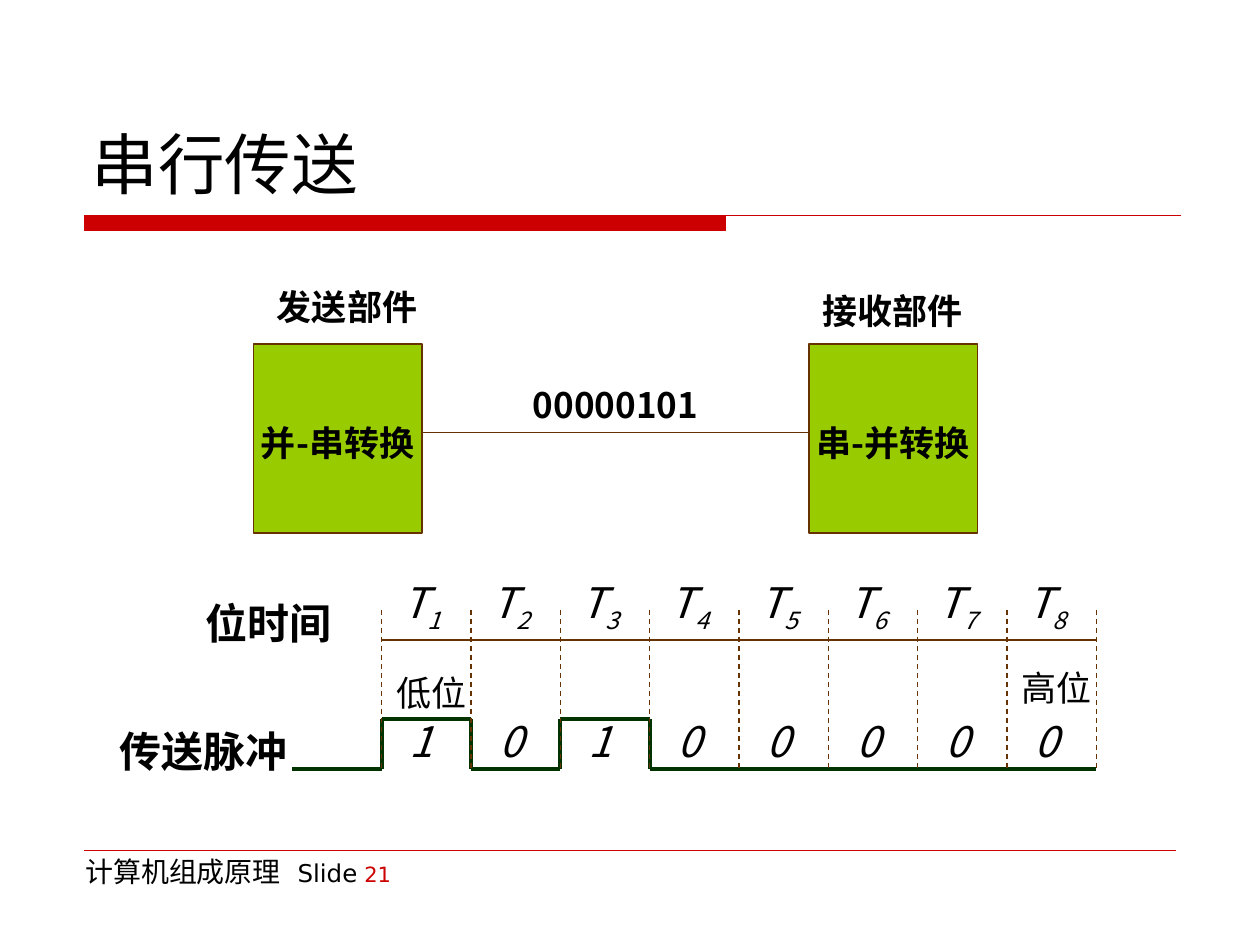
from dataclasses import dataclass
from itertools import groupby

from lxml import etree
from pptx import Presentation
from pptx.dml.color import RGBColor
from pptx.enum.dml import MSO_LINE
from pptx.enum.shapes import MSO_CONNECTOR, MSO_SHAPE
from pptx.enum.text import MSO_ANCHOR, PP_ALIGN
from pptx.oxml.ns import qn
from pptx.util import Inches, Pt

STRAIGHT = MSO_CONNECTOR.STRAIGHT
RECTANGLE = MSO_SHAPE.RECTANGLE
DASH = MSO_LINE.DASH
LEFT, CENTER = PP_ALIGN.LEFT, PP_ALIGN.CENTER
TOP, MIDDLE, BOTTOM = MSO_ANCHOR.TOP, MSO_ANCHOR.MIDDLE, MSO_ANCHOR.BOTTOM

BLACK = RGBColor(0x00, 0x00, 0x00)
RED = RGBColor(0xCC, 0x00, 0x00)
LIME = RGBColor(0x99, 0xCC, 0x00)
BROWN = RGBColor(0x66, 0x33, 0x00)
DARK_GREEN = RGBColor(0x00, 0x33, 0x00)

SANS = "DejaVu Sans"
CJK = "Noto Sans CJK SC"

BITS = "10100000"
GRID_LEFT, GRID_RIGHT = 3.03, 8.7
BIT_WIDTH = (GRID_RIGHT - GRID_LEFT) / len(BITS)
GRID_TOP, AXIS_Y = 4.84, 5.08
HIGH_Y, LOW_Y = 5.71, 6.1


@dataclass
class Run:
    text: str
    size: float
    name: str = CJK
    color: RGBColor = BLACK
    bold: bool = False
    italic: bool = False
    subscript: bool = False


@dataclass
class Label:
    left: float
    top: float
    width: float
    height: float
    runs: list[Run]
    align: PP_ALIGN = CENTER
    anchor: MSO_ANCHOR = TOP
    spacing: float = 1.0


def fill_text(frame, label: Label, wrap: bool = True) -> None:
    frame.word_wrap = wrap
    frame.vertical_anchor = label.anchor
    paragraph = frame.paragraphs[0]
    paragraph.alignment = label.align
    paragraph.line_spacing = label.spacing
    for item in label.runs:
        run = paragraph.add_run()
        run.text = item.text
        formats = {"size": Pt(item.size), "name": item.name,
                   "bold": item.bold, "italic": item.italic}
        for attribute, value in formats.items():
            setattr(run.font, attribute, value)
        run.font.color.rgb = item.color
        properties = run.font._element
        etree.SubElement(properties, qn("a:ea")).set("typeface", item.name)
        if item.subscript:
            properties.set("baseline", "-25000")


def add_label(slide, label: Label) -> None:
    box = slide.shapes.add_textbox(Inches(label.left), Inches(label.top),
                                   Inches(label.width), Inches(label.height))
    fill_text(box.text_frame, label)


def add_unit(slide, label: Label) -> None:
    """Draw a green converter box with its text."""
    shape = slide.shapes.add_shape(
        RECTANGLE, Inches(label.left), Inches(label.top),
        Inches(label.width), Inches(label.height))
    shape.shadow.inherit = False
    shape.fill.solid()
    shape.fill.fore_color.rgb = LIME
    shape.line.color.rgb = BROWN
    shape.line.width = Pt(0.75)
    fill_text(shape.text_frame, label, wrap=False)


def add_line(slide, x1: float, y1: float, x2: float, y2: float,
             color: RGBColor = BROWN, width: float = 0.75, dash=None) -> None:
    line = slide.shapes.add_connector(
        STRAIGHT, Inches(x1), Inches(y1), Inches(x2), Inches(y2))
    line.line.color.rgb = color
    line.line.width = Pt(width)
    if dash is not None:
        line.line.dash_style = dash
    etree.SubElement(line._element.spPr, qn("a:effectLst"))


def add_title_rule(slide) -> None:
    """Draw the thick red bar that continues as a thin line."""
    left, bar_right, right, top, bottom = map(Inches, (0.67, 5.76, 9.37, 1.71, 1.83))
    builder = slide.shapes.build_freeform(left, top)
    builder.add_line_segments([(bar_right, top), (bar_right, bottom), (left, bottom)])
    builder.move_to(left, top)
    builder.add_line_segments([(right, top)], close=False)
    rule = builder.convert_to_shape()
    rule.shadow.inherit = False
    rule.fill.solid()
    rule.fill.fore_color.rgb = RED
    rule.line.color.rgb = RED
    rule.line.width = Pt(0.75)


def add_pulse(slide) -> None:
    """Draw the waveform: an idle low slot, then one slot for each bit."""
    x, previous_y = GRID_LEFT - BIT_WIDTH, LOW_Y
    for level, slots in groupby("0" + BITS):
        y = HIGH_Y if level == "1" else LOW_Y
        if y != previous_y:
            add_line(slide, x, previous_y, x, y, DARK_GREEN, 2.25)
        end = x + BIT_WIDTH * len(list(slots))
        add_line(slide, x, y, end, y, DARK_GREEN, 2.25)
        x, previous_y = end, y


def add_timing(slide) -> None:
    add_pulse(slide)
    add_line(slide, GRID_LEFT, AXIS_Y, GRID_RIGHT, AXIS_Y)
    for index in range(len(BITS) + 1):
        x = GRID_LEFT + index * BIT_WIDTH
        add_line(slide, x, GRID_TOP, x, LOW_Y, dash=DASH)
    for index, bit in enumerate(BITS):
        x = GRID_LEFT + index * BIT_WIDTH
        period = [Run("T", 24, italic=True),
                  Run(str(index + 1), 24, italic=True, subscript=True)]
        add_label(slide, Label(x, 4.53, 0.63, 0.56, period))
        add_label(slide, Label(x, 5.63, 0.63, 0.5, [Run(bit, 24, italic=True)]))
    add_label(slide, Label(GRID_LEFT, 5.28, 0.79, 0.44, [Run("低位", 20)]))
    add_label(slide, Label(7.99, 5.24, 0.79, 0.44, [Run("高位", 20)]))
    add_label(slide, Label(1.38, 4.69, 1.5, 0.5, [Run("位时间", 24, bold=True)]))
    add_label(slide, Label(0.75, 5.71, 1.73, 0.5, [Run("传送脉冲", 24, bold=True)]))


def add_transfer(slide) -> None:
    """Draw sender, receiver and the serial wire between them."""
    for left, text in ((2.01, "并-串转换"), (6.42, "串-并转换")):
        add_unit(slide, Label(left, 2.73, 1.34, 1.5, [Run(text, 20, bold=True)],
                              anchor=MIDDLE, spacing=1.2))
    add_line(slide, 3.35, 3.43, 6.42, 3.43)
    captions = ((1.77, 2.15, "发送部件"), (6.1, 2.18, "接收部件"),
                (3.9, 2.93, "00000101"))
    for left, top, text in captions:
        add_label(slide, Label(left, top, 1.97, 0.5, [Run(text, 20, bold=True)],
                               spacing=1.2))


def main() -> None:
    presentation = Presentation()
    presentation.slide_width = Inches(10)
    presentation.slide_height = Inches(7.5)
    slide = presentation.slides.add_slide(presentation.slide_layouts[6])

    add_title_rule(slide)
    add_line(slide, 0.67, 6.75, 9.33, 6.75, RED, 0.25)
    footer = [Run("计算机组成原理 ", 16, SANS), Run(" Slide", 14, SANS),
              Run(" ", 12, SANS), Run("21", 12, SANS, RED)]
    add_label(slide, Label(0.58, 6.73, 3, 0.52, footer, LEFT))
    add_label(slide, Label(0.63, 0.33, 8.75, 1.33, [Run("串行传送", 38, SANS)],
                           LEFT, BOTTOM))
    add_transfer(slide)
    add_timing(slide)

    presentation.save("out.pptx")


if __name__ == "__main__":
    main()
